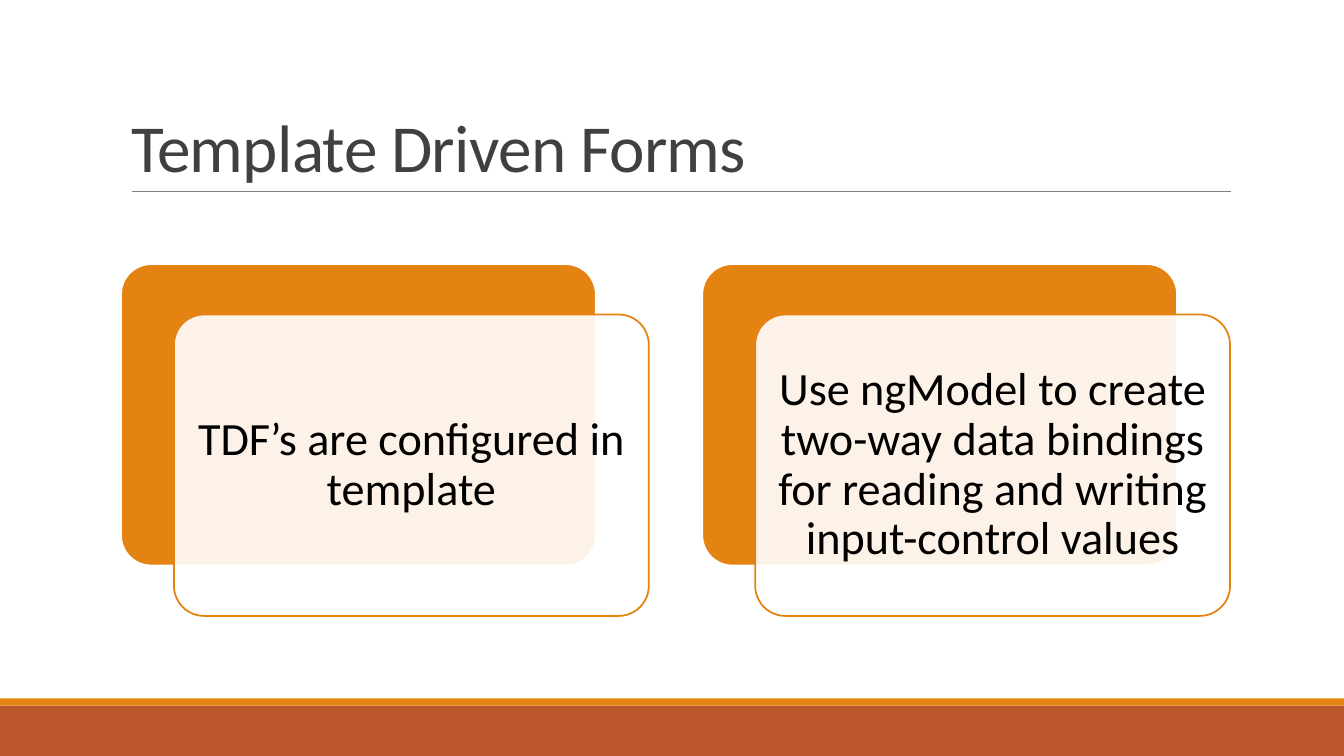
"""Build the Template Driven Forms slide with two layered cards."""
from lxml.etree import SubElement
from pptx import Presentation
from pptx.dml.color import RGBColor
from pptx.enum.shapes import MSO_CONNECTOR, MSO_SHAPE
from pptx.enum.text import MSO_ANCHOR, MSO_AUTO_SIZE, PP_ALIGN
from pptx.oxml.ns import qn
from pptx.util import Inches, Pt

ORANGE = RGBColor(0xE4, 0x83, 0x12)
RUST = RGBColor(0xBD, 0x58, 0x2C)
WHITE = RGBColor(0xFF, 0xFF, 0xFF)
GRAY = RGBColor(0x80, 0x80, 0x80)
DARK = RGBColor(0x40, 0x40, 0x40)
BLACK = RGBColor(0, 0, 0)

WIDE, HIGH = 13.33, 7.5
LEFT, TOP = 1.2, 2.62
CARD_W, CARD_H = 4.71, 2.99
STEP = 5.765
SHIFT_X, SHIFT_Y = 0.525, 0.5
CARDS = [
    "TDF’s are configured in template",
    "Use ngModel to create two-way data bindings for reading and writing input-control values",
]


def add_box(kind, x, y, w, h, fill, edge=None):
    box = slide.shapes.add_shape(kind, Inches(x), Inches(y), Inches(w), Inches(h))
    box.shadow.inherit = False
    box.fill.solid()
    box.fill.fore_color.rgb = fill
    if edge is None:
        box.line.fill.background()
    else:
        box.line.color.rgb = edge
        box.line.width = Pt(1.25)
        box.adjustments[0] = 0.1
    return box


def style(par, size, color, align, space):
    par.alignment = align
    par.line_spacing = space
    font = par.runs[0].font
    font.name = "Calibri"
    font.size = Pt(size)
    font.color.rgb = color


deck = Presentation()
deck.slide_width, deck.slide_height = Inches(WIDE), Inches(HIGH)
slide = deck.slides.add_slide(deck.slide_layouts[5])

add_box(MSO_SHAPE.RECTANGLE, 0, 7, WIDE, 0.5, RUST)
add_box(MSO_SHAPE.RECTANGLE, 0, 6.93, WIDE, 0.07, ORANGE)

rule = slide.shapes.add_connector(
    MSO_CONNECTOR.STRAIGHT, Inches(1.31), Inches(1.9), Inches(12.21), Inches(1.9))
rule.line.color.rgb = GRAY
rule.line.width = Pt(0.5)
SubElement(rule.element.spPr, qn("a:effectLst"))

title = slide.shapes.title
title.left, title.top = Inches(LEFT), Inches(0.31)
title.width, title.height = Inches(11), Inches(1.59)
frame = title.text_frame
frame.text = "Template Driven Forms"
frame.auto_size = MSO_AUTO_SIZE.NONE
frame.vertical_anchor = MSO_ANCHOR.BOTTOM
style(frame.paragraphs[0], 48, DARK, PP_ALIGN.LEFT, 0.85)
frame.paragraphs[0].runs[0].font._element.set("spc", "-50")

for col, text in enumerate(CARDS):
    x = LEFT + col * STEP
    add_box(MSO_SHAPE.ROUNDED_RECTANGLE, x, TOP, CARD_W, CARD_H, ORANGE, WHITE)
    card = add_box(MSO_SHAPE.ROUNDED_RECTANGLE, x + SHIFT_X, TOP + SHIFT_Y,
                   CARD_W, CARD_H, WHITE, ORANGE)
    tint = card.element.spPr.find(qn("a:solidFill"))[0]
    SubElement(tint, qn("a:alpha"), val="90000")
    frame = card.text_frame
    frame.text = text
    frame.word_wrap = True
    frame.vertical_anchor = MSO_ANCHOR.MIDDLE
    frame.margin_left = frame.margin_right = Inches(0.14)
    frame.margin_top = frame.margin_bottom = Inches(0.14)
    style(frame.paragraphs[0], 33, BLACK, PP_ALIGN.CENTER, 0.9)

deck.save("out.pptx")
